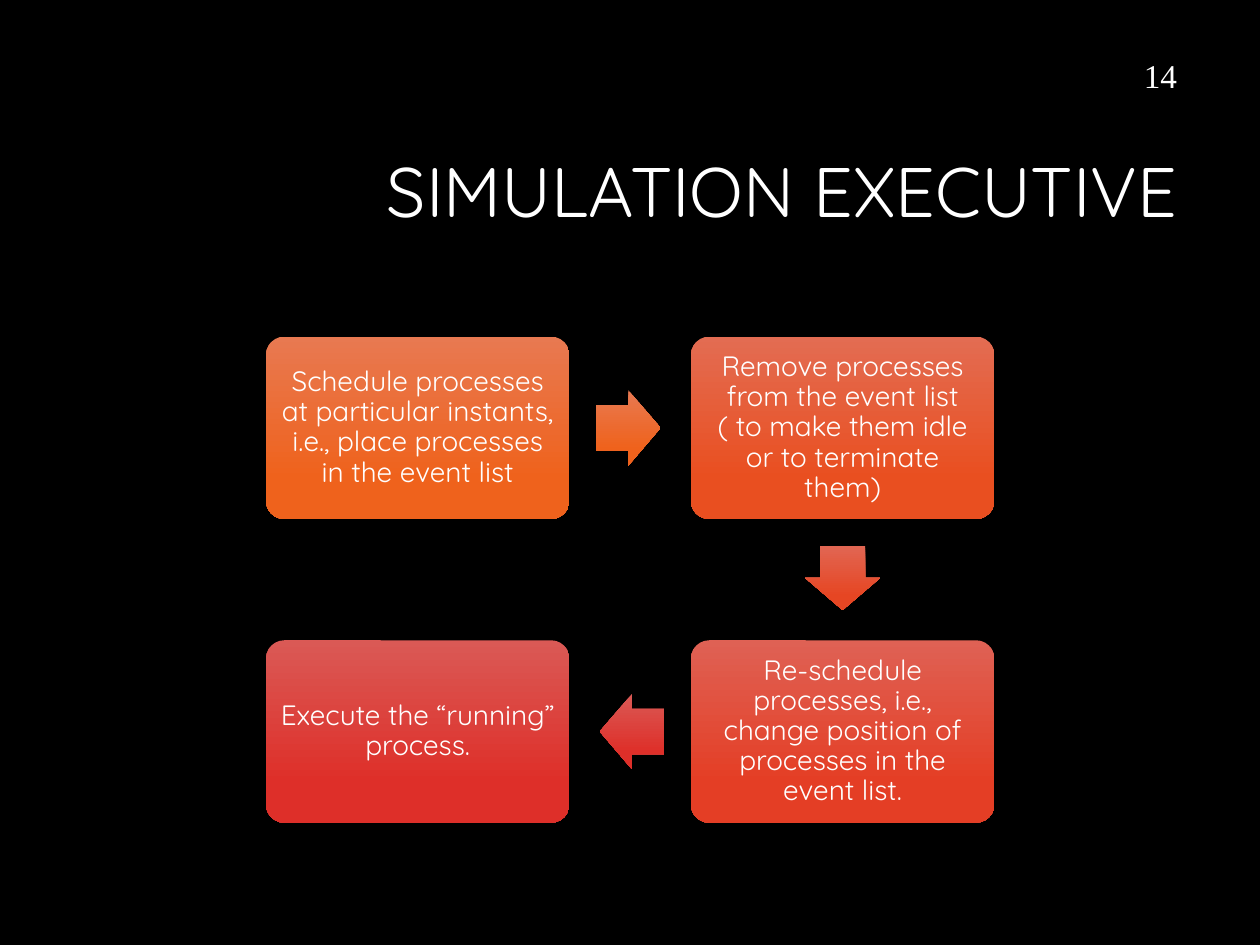
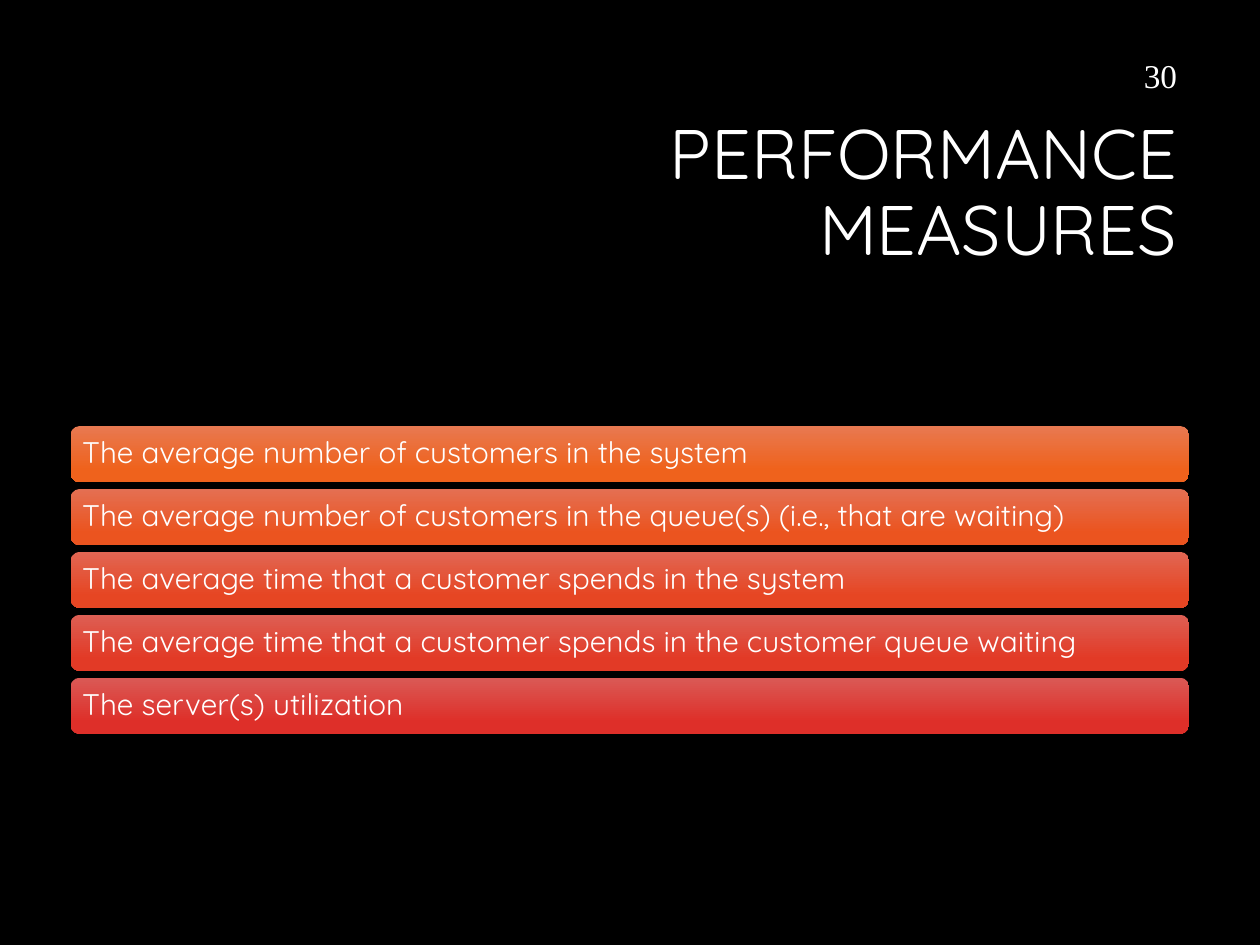
from dataclasses import dataclass
from itertools import pairwise

from pptx import Presentation
from pptx.dml.color import RGBColor
from pptx.enum.shapes import MSO_SHAPE as Shape
from pptx.enum.text import MSO_ANCHOR as Anchor, MSO_AUTO_SIZE as AutoSize, PP_ALIGN as Align
from pptx.util import Pt


@dataclass(frozen=True)
class Theme:
    font: str = "Quicksand"
    number_font: str = "Times New Roman"
    back: str = "000000"
    ink: str = "FFFFFF"
    title_size: int = 40
    number_size: int = 19
    step_size: int = 16
    bar_size: int = 17
    inset: int = 5
    orange: tuple = ("E87951", "EF621C")
    amber_red: tuple = ("E46F52", "EB541F")
    coral: tuple = ("E36C52", "E94F20")
    vermilion: tuple = ("E16653", "E64623")
    scarlet: tuple = ("DF6154", "E43E25")
    tomato: tuple = ("DD5F54", "E23A26")
    red: tuple = ("DA5955", "DE2F29")


THEME = Theme()

STEP_W, STEP_H = 173.4, 104.2
STEP_LEFT, STEP_TOP = 152, 192.4
STEP_DX, STEP_DY = 242.8, 173.5
ARROW_LENGTH, ARROW_BREADTH = 36.8, 43

STEPS = [
    (0, 0, THEME.orange,
     "Schedule processes at particular instants, i.e., place processes in the event list"),
    (1, 0, THEME.coral,
     "Remove processes from the event list ( to make them idle or to terminate them)"),
    (1, 1, THEME.scarlet,
     "Re-schedule processes, i.e., change position of processes in the event list."),
    (0, 1, THEME.red, "Execute the “running” process."),
]
ARROWS = {
    (1, 0): (Shape.RIGHT_ARROW, THEME.orange),
    (0, 1): (Shape.DOWN_ARROW, THEME.vermilion),
    (-1, 0): (Shape.LEFT_ARROW, THEME.red),
}

BAR_LEFT, BAR_TOP, BAR_W, BAR_H, BAR_DY = 40.4, 243.4, 639.2, 32.2, 35.95
MEASURES = [
    ("The average number of customers in the system", THEME.orange),
    ("The average number of customers in the queue(s) (i.e., that are waiting)",
     THEME.amber_red),
    ("The average time that a customer spends in the system", THEME.vermilion),
    ("The average time that a customer spends in the customer queue waiting", THEME.tomato),
    ("The server(s) utilization", THEME.red),
]


def place(sp, left, top, width, height):
    sp.left, sp.top, sp.width, sp.height = map(Pt, (left, top, width, height))


def write(sp, text, size, align, font=THEME.font):
    tf = sp.text_frame
    tf.word_wrap = True
    tf.auto_size = AutoSize.NONE
    tf.vertical_anchor = Anchor.MIDDLE
    p = tf.paragraphs[0]
    p.alignment = align
    p.line_spacing = 0.9
    r = p.add_run()
    r.text = text
    r.font.name = font
    r.font.size = Pt(size)
    r.font.color.rgb = RGBColor.from_string(THEME.ink)


def add_gradient_shape(s, kind, box, colours, adjustments=()):
    sp = s.shapes.add_shape(kind, *map(Pt, box))
    sp.shadow.inherit = False
    sp.line.fill.background()
    sp.fill.gradient()
    sp.fill.gradient_angle = 270
    for stop, position, colour in zip(sp.fill.gradient_stops, (0, 0.78), colours):
        stop.position = position
        stop.color.rgb = RGBColor.from_string(colour)
    for i, value in enumerate(adjustments):
        sp.adjustments[i] = value
    return sp


def add_panel(s, box, colours, text, size, align, adjustments=()):
    sp = add_gradient_shape(s, Shape.ROUNDED_RECTANGLE, box, colours, adjustments)
    tf = sp.text_frame
    tf.margin_left = tf.margin_right = tf.margin_top = tf.margin_bottom = Pt(THEME.inset)
    write(sp, text, size, align)


def step_centre(col, row):
    return (STEP_LEFT + col * STEP_DX + STEP_W / 2,
            STEP_TOP + row * STEP_DY + STEP_H / 2)


def add_step_arrow(s, start, end):
    dx, dy = end[0] - start[0], end[1] - start[1]
    kind, colours = ARROWS[dx, dy]
    (x1, y1), (x2, y2) = step_centre(*start), step_centre(*end)
    width, height = ((ARROW_LENGTH, ARROW_BREADTH) if dx
                     else (ARROW_BREADTH, ARROW_LENGTH))
    box = ((x1 + x2 - width) / 2 - dx, (y1 + y2 - height) / 2 - dy, width, height)
    add_gradient_shape(s, kind, box, colours, (0.6, 0.5))


def add_titled_slide(prs, title, number):
    s = prs.slides.add_slide(prs.slide_layouts[5])
    place(s.shapes.title, 171.4, 60.5, 508.3, 101.5)
    write(s.shapes.title, title, THEME.title_size, Align.RIGHT)
    sp = s.shapes.add_textbox(*map(Pt, (517.7, 30.2, 162, 28.8)))
    write(sp, number, THEME.number_size, Align.RIGHT, THEME.number_font)
    return s


def build_executive(prs):
    s = add_titled_slide(prs, "SIMULATION EXECUTIVE", "14")
    for col, row, colours, text in STEPS:
        box = (STEP_LEFT + col * STEP_DX, STEP_TOP + row * STEP_DY, STEP_W, STEP_H)
        add_panel(s, box, colours, text, THEME.step_size, Align.CENTER, (0.1,))
    for start, end in pairwise(step[:2] for step in STEPS):
        add_step_arrow(s, start, end)


def build_measures(prs):
    s = add_titled_slide(prs, "PERFORMANCE MEASURES", "30")
    for i, (text, colours) in enumerate(MEASURES):
        box = (BAR_LEFT, BAR_TOP + i * BAR_DY, BAR_W, BAR_H)
        add_panel(s, box, colours, text, THEME.bar_size, Align.LEFT)


def main():
    prs = Presentation()
    prs.slide_width, prs.slide_height = Pt(720), Pt(540)
    fill = prs.slide_master.background.fill
    fill.solid()
    fill.fore_color.rgb = RGBColor.from_string(THEME.back)
    build_executive(prs)
    build_measures(prs)
    prs.save("out.pptx")


if __name__ == "__main__":
    main()
